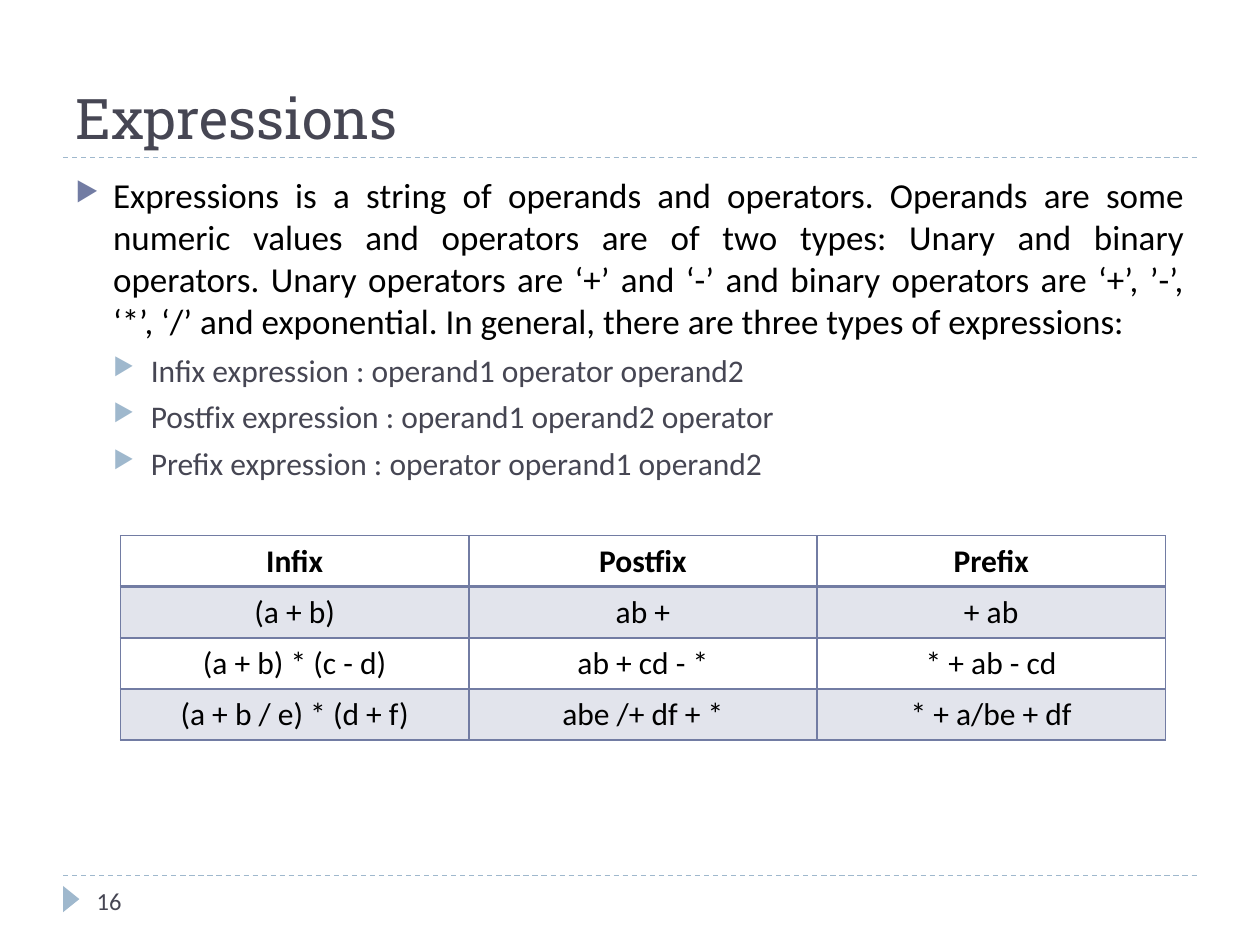
from lxml.etree import SubElement
from pptx import Presentation
from pptx.dml.color import RGBColor
from pptx.enum.dml import MSO_LINE
from pptx.enum.shapes import MSO_CONNECTOR, MSO_SHAPE
from pptx.enum.text import MSO_ANCHOR, PP_ALIGN
from pptx.oxml.ns import qn
from pptx.util import Cm, Pt

COLORS = {"ink": "464653", "black": "000000", "indigo": "727CA3", "sky": "9FB8CD"}


class SlideBuilder:
    """Holds the slide and its style, and adds each kind of element."""

    def __init__(self, slide, body_font="Calibri", title_font="Roboto Slab"):
        self.slide = slide
        self.body_font = body_font
        self.title_font = title_font

    def color(self, name):
        return RGBColor.from_string(COLORS[name])

    def format(self, paragraph, size, color, font=None, bold=False):
        for run in paragraph.runs:
            run.font.name = font or self.body_font
            run.font.size = Pt(size)
            run.font.bold = bold
            run.font.color.rgb = self.color(color)

    def frame(self, left, top, width, height, anchor):
        box = self.slide.shapes.add_textbox(Cm(left), Cm(top), Cm(width), Cm(height))
        box.text_frame.word_wrap = True
        box.text_frame.vertical_anchor = anchor
        return box.text_frame

    def label(self, text, area, size, font=None, anchor=MSO_ANCHOR.MIDDLE):
        frame = self.frame(*area, anchor)
        frame.text = text
        self.format(frame.paragraphs[0], size, "ink", font)

    def rule(self, left, right, top):
        line = self.slide.shapes.add_connector(
            MSO_CONNECTOR.STRAIGHT, Cm(left), Cm(top), Cm(right), Cm(top))
        line.line.color.rgb = self.color("sky")
        line.line.width = Pt(0.75)
        line.line.dash_style = MSO_LINE.DASH
        SubElement(line._element.spPr, qn("a:effectLst"))

    def page_marker(self, left, top, width, height):
        marker = self.slide.shapes.add_shape(
            MSO_SHAPE.ISOSCELES_TRIANGLE, Cm(left), Cm(top), Cm(width), Cm(height))
        marker.rotation = 90
        marker.shadow.inherit = False
        marker.fill.solid()
        marker.fill.fore_color.rgb = self.color("sky")
        marker.line.fill.background()

    def bullet(self, paragraph, level, color):
        props = paragraph._p.get_or_add_pPr()
        props.set("marL", str(Cm(0.76 * (level + 1))))
        props.set("indent", str(Cm(-0.76)))
        tint = SubElement(props, qn("a:buClr"))
        SubElement(tint, qn("a:srgbClr"), val=COLORS[color])
        SubElement(props, qn("a:buSzPct"), val="76000")
        SubElement(props, qn("a:buChar"), char="▶")

    def outline(self, items, area):
        styles = [(20, "black", "indigo", 6), (18, "ink", "sky", 5)]
        frame = self.frame(*area, MSO_ANCHOR.TOP)
        for index, (level, text) in enumerate(items):
            size, color, bullet_color, space = styles[level]
            paragraph = frame.add_paragraph() if index else frame.paragraphs[0]
            paragraph.text = text
            paragraph.level = level
            paragraph.alignment = PP_ALIGN.JUSTIFY
            paragraph.space_before = Pt(space)
            self.bullet(paragraph, level, bullet_color)
            self.format(paragraph, size, color)

    def border(self, cell, side, width):
        props = cell._tc.get_or_add_tcPr()
        edge = SubElement(props, qn(f"a:ln{side}"), w=str(Pt(width)))
        fill = SubElement(edge, qn("a:solidFill"))
        SubElement(fill, qn("a:srgbClr"), val=COLORS["indigo"])

    def shade(self, cell, banded):
        if not banded:
            cell.fill.background()
            return
        cell.fill.solid()
        cell.fill.fore_color.rgb = self.color("indigo")
        tint = cell._tc.tcPr.find(f"{qn('a:solidFill')}/{qn('a:srgbClr')}")
        SubElement(tint, qn("a:alpha"), val="20000")

    def table(self, rows, left, top, column_width, row_height):
        count = len(rows[0])
        grid = self.slide.shapes.add_table(
            len(rows), count, Cm(left), Cm(top),
            Cm(column_width * count), Cm(row_height * len(rows))).table
        for row_index, row in enumerate(rows):
            for column_index, text in enumerate(row):
                cell = grid.cell(row_index, column_index)
                cell.text_frame.text = text
                paragraph = cell.text_frame.paragraphs[0]
                paragraph.alignment = PP_ALIGN.CENTER
                self.format(paragraph, 18, "black", bold=row_index == 0)
                for side in "LRTB":
                    heavy = (row_index, side) in [(0, "B"), (1, "T")]
                    self.border(cell, side, 2 if heavy else 1)
                self.shade(cell, row_index % 2 == 1)


presentation = Presentation()
presentation.slide_width = Cm(25.4)
presentation.slide_height = Cm(19.05)
builder = SlideBuilder(presentation.slides.add_slide(presentation.slide_layouts[6]))

for rule_top in (17.65, 3.18):
    builder.rule(1.27, 24.13, rule_top)
builder.page_marker(1.17, 17.96, 0.53, 0.33)
builder.label("Expressions", (1.27, 0.43, 22.86, 2.74), 32,
              builder.title_font, MSO_ANCHOR.BOTTOM)
builder.label("16", (1.7, 17.65, 5.51, 1.02), 14)

builder.outline([
    (0, "Expressions is a string of operands and operators. Operands are some numeric "
        "values and operators are of two types: Unary and binary operators. Unary "
        "operators are ‘+’ and ‘-’ and binary operators are ‘+’, ’-’, ‘*’, ‘/’ and "
        "exponential. In general, there are three types of expressions:"),
    (1, "Infix expression : operand1 operator operand2"),
    (1, "Postfix expression : operand1 operand2 operator"),
    (1, "Prefix expression : operator operand1 operand2"),
], (1.27, 3.38, 22.86, 13.72))

builder.table([
    ("Infix", "Postfix", "Prefix"),
    ("(a + b)", "ab +", "+ ab"),
    ("(a + b) * (c - d)", "ab + cd - *", "* + ab - cd"),
    ("(a + b / e) * (d + f)", "abe /+ df + *", "* + a/be + df"),
], 2.43, 10.8, 7.02, 1.03)

presentation.save("out.pptx")
